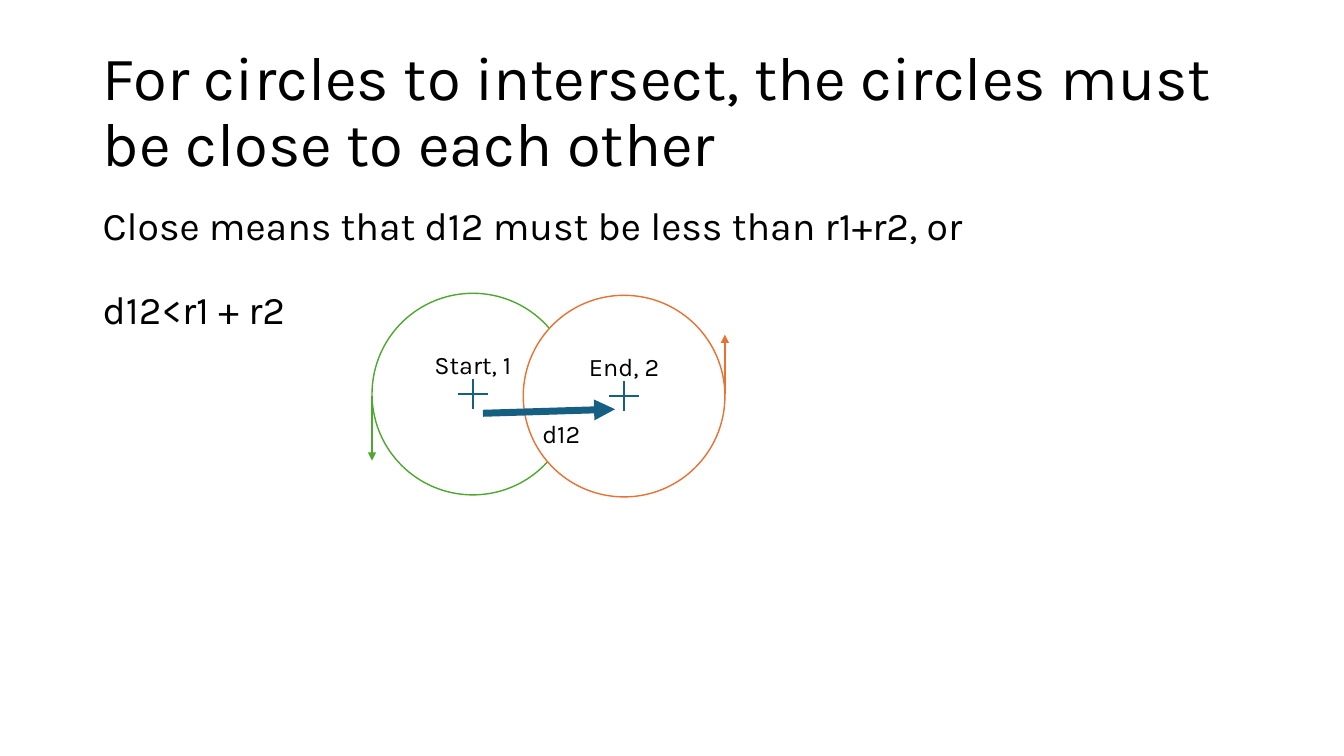
from pptx import Presentation, util as u
from pptx.dml.color import RGBColor
from pptx.enum import shapes, text
from pptx.oxml import parse_xml
from pptx.oxml.ns import nsdecls, qn

BLACK = RGBColor(0x00, 0x00, 0x00)
WHITE = RGBColor(0xFF, 0xFF, 0xFF)
GREEN = RGBColor(0x4E, 0xA7, 0x2E)
ORANGE = RGBColor(0xE9, 0x71, 0x32)
TEAL = RGBColor(0x15, 0x60, 0x82)

FONT = "Karla"
WIDTH, HEIGHT = 13.33, 7.5
MARGIN = 0.92
CONTENT_WIDTH = WIDTH - 2 * MARGIN
RADIUS = 1
CROSS_ARM = 0.15


def write(shape, lines, size, align=text.PP_ALIGN.LEFT, spacing=1.0, gap=0,
          anchor=text.MSO_ANCHOR.TOP, wrap=True):
    """Fill a shape with one paragraph per line, gap points apart."""
    frame = shape.text_frame
    frame.auto_size = text.MSO_AUTO_SIZE.NONE
    frame.word_wrap = wrap
    frame.vertical_anchor = anchor
    for index, line in enumerate(lines):
        paragraph = frame.paragraphs[0] if index == 0 else frame.add_paragraph()
        paragraph.text = line
        paragraph.alignment = align
        paragraph.line_spacing = spacing
        paragraph.space_before = u.Pt(gap if index else 0)
        paragraph.font.name = FONT
        paragraph.font.size = u.Pt(size)
        paragraph.font.color.rgb = BLACK


def place(shape, left, top, width, height):
    shape.left, shape.top = u.Inches(left), u.Inches(top)
    shape.width, shape.height = u.Inches(width), u.Inches(height)


def draw_line(parent, start, end, color, weight, arrow=False):
    line = parent.shapes.add_connector(
        shapes.MSO_CONNECTOR.STRAIGHT, *(u.Inches(value) for value in start + end))
    line.line.color.rgb = color
    line.line.width = u.Pt(weight)
    if arrow:
        line.line._get_or_add_ln().append(
            parse_xml(f'<a:tailEnd {nsdecls("a")} type="triangle"/>'))
    line._element.spPr.append(
        line._element.makeelement(qn("a:effectLst"), {}))


def add_title(slide, left, top, width, height):
    title = slide.shapes.title
    place(title, left, top, width, height)
    write(title, ["For circles to intersect, the circles must be close to each other"],
          44, spacing=0.9, anchor=text.MSO_ANCHOR.MIDDLE)


def add_body(slide, left, top, width, height):
    body = slide.shapes.add_textbox(0, 0, 0, 0)
    place(body, left, top, width, height)
    write(body, ["Close means that d12 must be less than r1+r2, or", "d12<r1 + r2"],
          28, spacing=0.9, gap=30)


def add_circle(slide, x, y, label, color):
    """Labelled circle around (x, y) with a cross at its centre."""
    group = slide.shapes.add_group_shape()
    circle = group.shapes.add_shape(shapes.MSO_SHAPE.OVAL, 0, 0, 0, 0)
    place(circle, x - RADIUS, y - RADIUS, 2 * RADIUS, 2 * RADIUS)
    circle.shadow.inherit = False
    circle.fill.solid()
    circle.fill.fore_color.rgb = WHITE
    circle.line.color.rgb = color
    circle.line.width = u.Pt(1)
    write(circle, [label], 18, align=text.PP_ALIGN.CENTER,
          anchor=text.MSO_ANCHOR.MIDDLE)
    # A deep lower inset lifts the label above the cross
    circle.text_frame.margin_bottom = u.Inches(0.63)
    draw_line(group, (x, y - CROSS_ARM), (x, y + CROSS_ARM), TEAL, 1.5)
    draw_line(group, (x - CROSS_ARM, y), (x + CROSS_ARM, y), TEAL, 1.5)


def add_diagram(slide, left, top):
    """Two overlapping circles, their directions and the centre distance."""
    start_x, start_y = left + RADIUS, top + RADIUS
    end_x, end_y = start_x + 1.5, start_y + 0.02
    add_circle(slide, start_x, start_y, "Start, 1", GREEN)
    add_circle(slide, end_x, end_y, "End, 2", ORANGE)

    # Direction of travel at the outer edges
    right = end_x + RADIUS
    draw_line(slide, (left, end_y), (left, end_y + 0.64), GREEN, 1.5, arrow=True)
    draw_line(slide, (right, start_y), (right, start_y - 0.59), ORANGE, 1.5, arrow=True)

    # Distance between centres
    draw_line(slide, (start_x + 0.1, start_y + 0.19), (end_x - 0.09, end_y + 0.13),
              TEAL, 5, arrow=True)
    distance = slide.shapes.add_textbox(0, 0, 0, 0)
    place(distance, start_x + 0.59, start_y + 0.19, 0.61, 0.4)
    write(distance, ["d12"], 18, wrap=False)


def main():
    presentation = Presentation()
    presentation.slide_width = u.Inches(WIDTH)
    presentation.slide_height = u.Inches(HEIGHT)
    slide = presentation.slides.add_slide(presentation.slide_layouts[5])
    add_title(slide, MARGIN, 0.4, CONTENT_WIDTH, 1.45)
    add_body(slide, MARGIN, 2, CONTENT_WIDTH, 4.76)
    add_diagram(slide, 3.69, 2.91)
    presentation.save("out.pptx")


if __name__ == "__main__":
    main()
